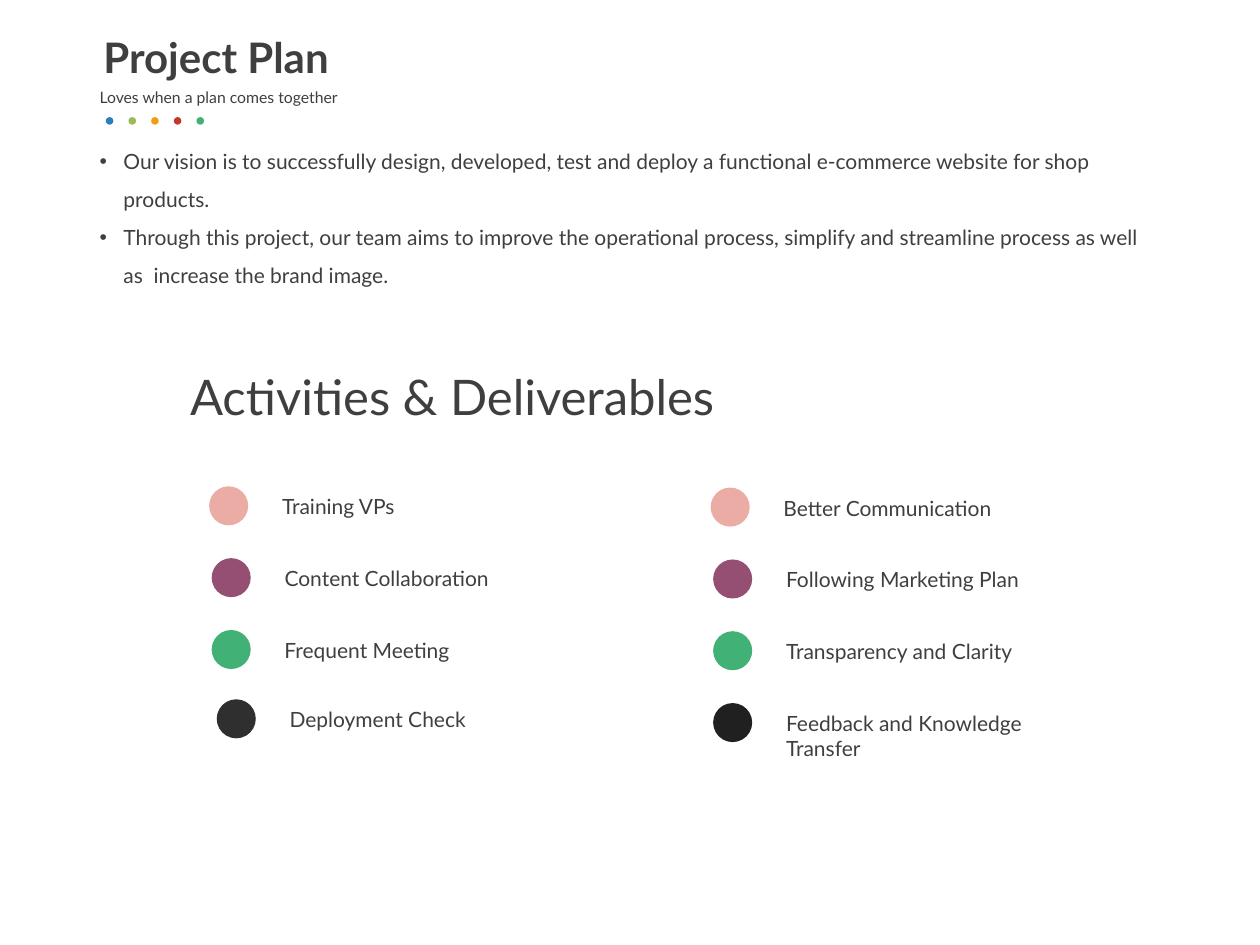
from dataclasses import dataclass

import pptx
import pptx.dml.color
import pptx.enum.shapes
import pptx.enum.text
import pptx.oxml
import pptx.util
from pptx.util import Inches


@dataclass(frozen=True)
class Theme:
    font: str = "Lato"
    ink: str = "3F3F3F"
    blue: str = "2980B9"
    olive: str = "9BBB59"
    orange: str = "F39C12"
    red: str = "C0392B"
    green: str = "41B176"
    pink: str = "EBACA5"
    plum: str = "954F72"
    charcoal: str = "2F2F2F"
    black: str = "202020"
    title_size: int = 24
    heading_size: int = 28
    body_size: int = 12
    caption_size: int = 9


THEME = Theme()

VISION = [
    "Our vision is to successfully design, developed, test and deploy a functional "
    "e-commerce website for shop products.",
    "Through this project, our team aims to improve the operational process, simplify "
    "and streamline process as well as  increase the brand image.",
]

ROW_WIDTHS = [3.63, 2.55, 2.2, 2.2]
ROW_PITCH = 0.57
ACTIVITIES = [
    ("Training VPs", THEME.pink, -0.02, 0),
    ("Content Collaboration", THEME.plum, 0, 0),
    ("Frequent Meeting", THEME.green, 0, 0),
    ("Deployment Check", THEME.charcoal, 0.04, -0.02),
]
DELIVERABLES = [
    ("Better Communication", THEME.pink, -0.02, 0),
    ("Following Marketing Plan", THEME.plum, 0, 0),
    ("Transparency and Clarity", THEME.green, 0, 0),
    ("Feedback and Knowledge Transfer", THEME.black, 0, 0),
]


def add_bullet(paragraph, indent=0.19):
    properties = paragraph._p.get_or_add_pPr()
    properties.set("marL", str(Inches(indent)))
    properties.set("indent", str(Inches(-indent)))
    for tag, attribute, value in [("buFont", "typeface", "Arial"), ("buChar", "char", "•")]:
        mark = pptx.oxml.parse_xml(
            f'<a:{tag} xmlns:a="http://schemas.openxmlformats.org/drawingml/2006/main" '
            f'{attribute}="{value}"/>'
        )
        properties.append(mark)


def write_text(holder, paragraphs, *, size=THEME.body_size, bold=False, spacing=1.0,
               margins=(0.1, 0.05), anchor=pptx.enum.text.MSO_ANCHOR.TOP, bullets=False):
    frame = holder.text_frame
    frame.word_wrap = True
    frame.auto_size = pptx.enum.text.MSO_AUTO_SIZE.NONE
    frame.vertical_anchor = anchor
    frame.margin_left = frame.margin_right = Inches(margins[0])
    frame.margin_top = frame.margin_bottom = Inches(margins[1])
    frame.text = "\n".join(paragraphs)
    for paragraph in frame.paragraphs:
        paragraph.alignment = pptx.enum.text.PP_ALIGN.LEFT
        paragraph.line_spacing = spacing
        if bullets:
            add_bullet(paragraph)
        for run in paragraph.runs:
            run.font.name = THEME.font
            run.font.size = pptx.util.Pt(size)
            run.font.bold = bold
            run.font.color.rgb = pptx.dml.color.RGBColor.from_string(THEME.ink)


def add_text(slide, paragraphs, left, top, width, height, **text_format):
    holder = slide.shapes.add_textbox(Inches(left), Inches(top), Inches(width), Inches(height))
    write_text(holder, paragraphs, **text_format)


def add_title(slide, text):
    title = slide.shapes.title
    title.left, title.top = Inches(0.72), Inches(0.2)
    title.width, title.height = Inches(3.87), Inches(0.5)
    write_text(title, [text], size=THEME.title_size, bold=True)


def add_dot(slide, left, top, diameter, colour):
    dot = slide.shapes.add_shape(
        pptx.enum.shapes.MSO_SHAPE.OVAL,
        Inches(left), Inches(top), Inches(diameter), Inches(diameter),
    )
    dot.shadow.inherit = False
    dot.fill.solid()
    dot.fill.fore_color.rgb = pptx.dml.color.RGBColor.from_string(colour)
    dot.line.fill.background()


def add_accent_dots(slide):
    for index, colour in enumerate(
        [THEME.blue, THEME.olive, THEME.orange, THEME.red, THEME.green]
    ):
        add_dot(slide, 0.84 + 0.18 * index, 0.93, 0.06, colour)


def add_item_column(slide, items, left, top):
    for row, (label, colour, shift_x, shift_y) in enumerate(items):
        item_left = left + shift_x
        item_top = top + ROW_PITCH * row + shift_y
        add_dot(slide, item_left, item_top, 0.31, colour)
        height = 0.5 if len(label) > 25 else 0.3
        add_text(slide, [label], item_left + 0.48, item_top + 0.01, ROW_WIDTHS[row], height)


def main():
    deck = pptx.Presentation()
    deck.slide_width, deck.slide_height = Inches(10), Inches(7.5)
    slide = deck.slides.add_slide(deck.slide_layouts.get_by_name("Title Only"))

    add_title(slide, "Project Plan")
    add_text(slide, ["Loves when a plan comes together"], 0.72, 0.58, 8.5, 0.27,
             size=THEME.caption_size, spacing=1.5, margins=(0.07, 0.04))
    add_accent_dots(slide)
    add_text(slide, VISION, 0.72, 1.04, 8.5, 1.25,
             spacing=1.5, margins=(0.07, 0.04), bullets=True)
    add_text(slide, ["Activities & Deliverables"], 1.41, 2.9, 6.72, 0.53,
             size=THEME.heading_size, spacing=0.9, anchor=pptx.enum.text.MSO_ANCHOR.BOTTOM)
    add_item_column(slide, ACTIVITIES, 1.68, 3.86)
    add_item_column(slide, DELIVERABLES, 5.66, 3.87)

    deck.save("out.pptx")


if __name__ == "__main__":
    main()
